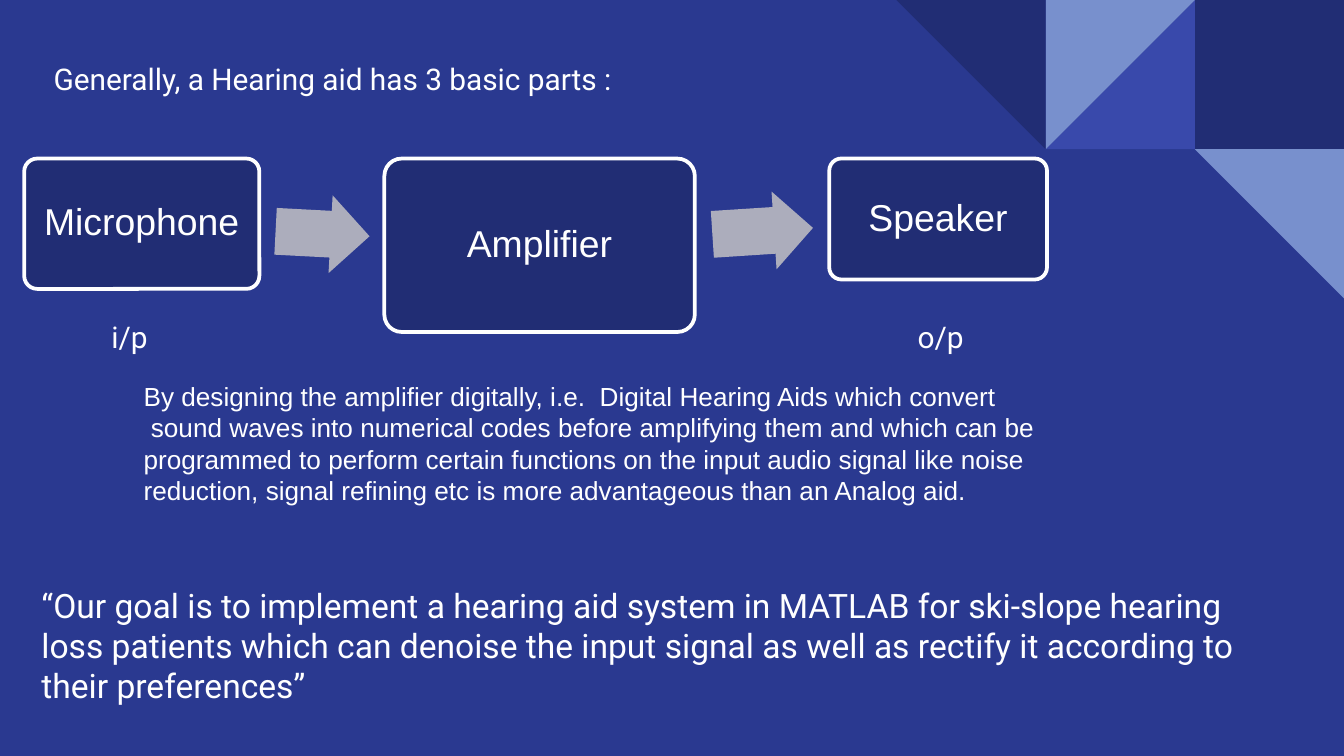
from pptx import Presentation
from pptx.dml.color import RGBColor
from pptx.enum import shapes, text
from pptx.util import Inches, Pt

BLUE = RGBColor(0x2A, 0x39, 0x90)
NAVY = RGBColor(0x21, 0x2D, 0x74)
INDIGO = RGBColor(0x39, 0x49, 0xAB)
LIGHT = RGBColor(0x78, 0x90, 0xCD)
GREY = RGBColor(0xAC, 0xAD, 0xBC)
WHITE = RGBColor(0xFF, 0xFF, 0xFF)

SHAPE = shapes.MSO_SHAPE


def add_shape(s, kind, x, y, w, h, fill, rotation=0):
    sp = s.shapes.add_shape(kind, Inches(x), Inches(y), Inches(w), Inches(h))
    sp.shadow.inherit = False
    sp.fill.solid()
    sp.fill.fore_color.rgb = fill
    sp.line.fill.background()
    sp.rotation = rotation
    return sp


def style(p, size, font):
    p.font.size = Pt(size)
    p.font.name = font
    p.font.color.rgb = WHITE


def add_text(s, x, y, w, h, lines, size, font="Roboto", wrap=True):
    tf = s.shapes.add_textbox(Inches(x), Inches(y), Inches(w), Inches(h)).text_frame
    tf.word_wrap = wrap
    for i, line in enumerate(lines):
        p = tf.add_paragraph() if i else tf.paragraphs[0]
        p.text = line
        style(p, size, font)


def add_corner_tiles(s, right, top, tile):
    """Square and triangles on a grid of tiles, counted back from the right edge."""
    tiles = [  # column from right, row, kind, fill, rotation
        (1, 0, SHAPE.RECTANGLE, NAVY, 0),
        (2, 0, SHAPE.RIGHT_TRIANGLE, INDIGO, 270),
        (2, 0, SHAPE.RIGHT_TRIANGLE, LIGHT, 90),
        (3, 0, SHAPE.RIGHT_TRIANGLE, NAVY, 180),
        (1, 1, SHAPE.RIGHT_TRIANGLE, LIGHT, 180),
    ]
    for col, row, kind, fill, rotation in tiles:
        add_shape(s, kind, right - col * tile, top + row * tile, tile, tile, fill, rotation)


def add_flow(s, x, y):
    """Three top-aligned stages joined by arrows."""
    stages = [  # label, left, width, height
        ("Microphone", 0, 1.75, 0.97),
        ("Amplifier", 2.68, 2.31, 1.29),
        ("Speaker", 5.99, 1.62, 0.9),
    ]
    for label, left, w, h in stages:
        sp = add_shape(s, SHAPE.ROUNDED_RECTANGLE, x + left, y, w, h, NAVY)
        sp.adjustments[0] = 0.1
        sp.line.color.rgb = WHITE
        sp.line.width = Pt(2)
        tf = sp.text_frame
        tf.margin_left = tf.margin_right = Inches(0.05)
        tf.vertical_anchor = text.MSO_ANCHOR.MIDDLE
        p = tf.paragraphs[0]
        p.text = label
        p.alignment = text.PP_ALIGN.CENTER
        p.line_spacing = 0.9
        style(p, 20, "Arial")

    # Arrows tilt towards the centre of the next stage
    for left, top, w, rotation in [(1.87, 0.27, 0.7, 3), (5.12, 0.25, 0.75, 356.3)]:
        sp = add_shape(s, SHAPE.RIGHT_ARROW, x + left, y + top, w, 0.58, GREY, rotation)
        sp.adjustments[0] = 0.6
        sp.adjustments[1] = 0.5

    # Input and output captions
    for caption, left, w in [("i/p", 0.55, 0.48), ("o/p", 6.55, 0.55)]:
        add_text(s, x + left, y + 1.14, w, 0.37, [caption], 16, wrap=False)


def main():
    prs = Presentation()
    prs.slide_width = Inches(10)
    prs.slide_height = prs.slide_width * 9 // 16
    s = prs.slides.add_slide(prs.slide_layouts[6])
    s.background.fill.solid()
    s.background.fill.fore_color.rgb = BLUE

    add_corner_tiles(s, 10, 0, 1.11)
    add_flow(s, 0.18, 1.18)

    # Explanation, heading and goal
    add_text(s, 0.97, 2.78, 6.88, 1.04, [
        "By designing the amplifier digitally, i.e.  Digital Hearing Aids which convert",
        " sound waves into numerical codes before amplifying them and which can be "
        "programmed to perform certain functions on the input audio signal like noise "
        "reduction, signal refining etc is more advantageous than an Analog aid.",
    ], 14, "Arial")
    add_text(s, 0.3, 0.4, 8.29, 0.37, ["Generally, a Hearing aid has 3 basic parts :"], 16)
    add_text(s, 0.21, 4.3, 9.28, 1.01, [
        "“Our goal is to implement a hearing aid system in MATLAB for ski-slope hearing "
        "loss patients which can denoise the input signal as well as rectify it according "
        "to their preferences”",
    ], 18)

    prs.save("out.pptx")


if __name__ == "__main__":
    main()
